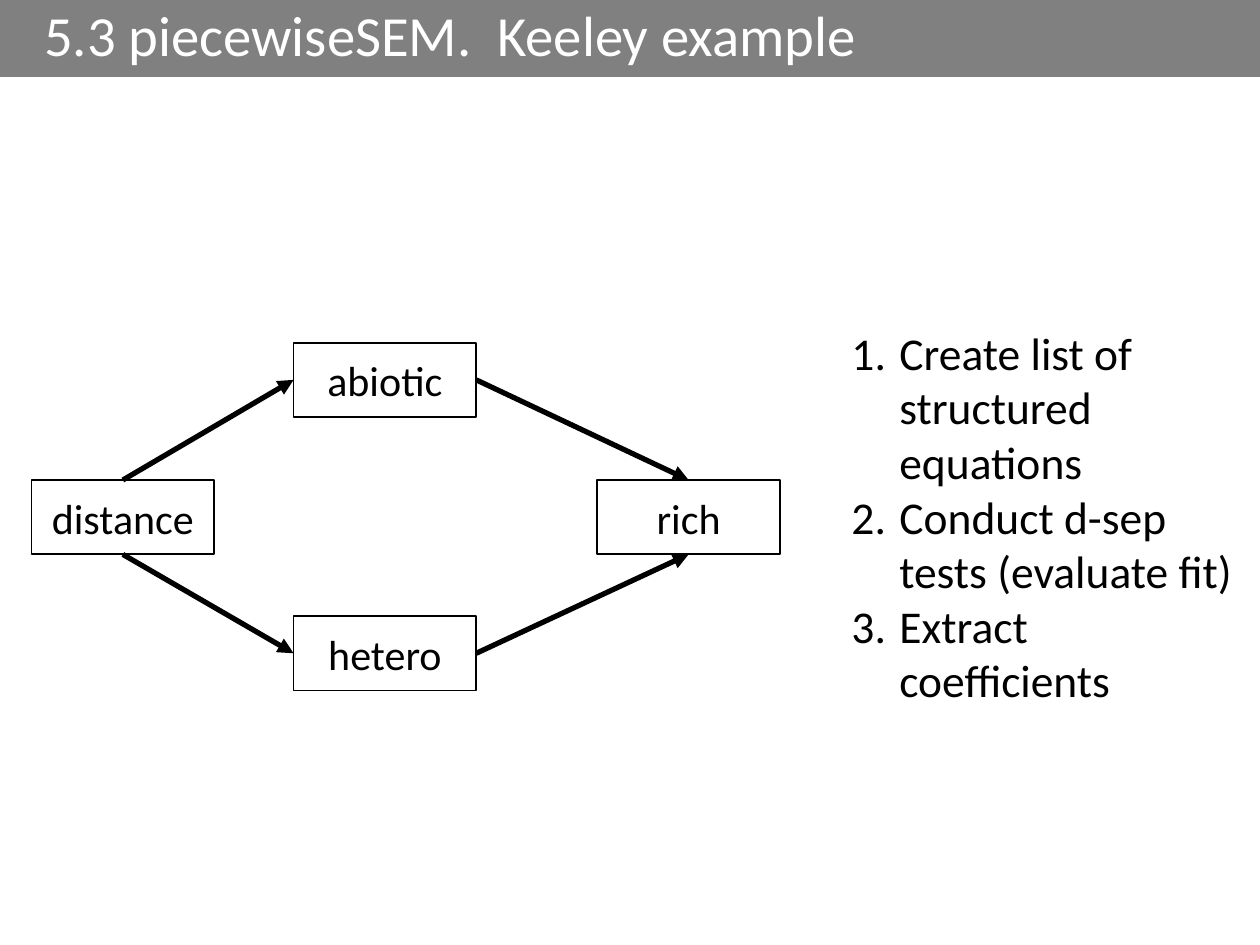
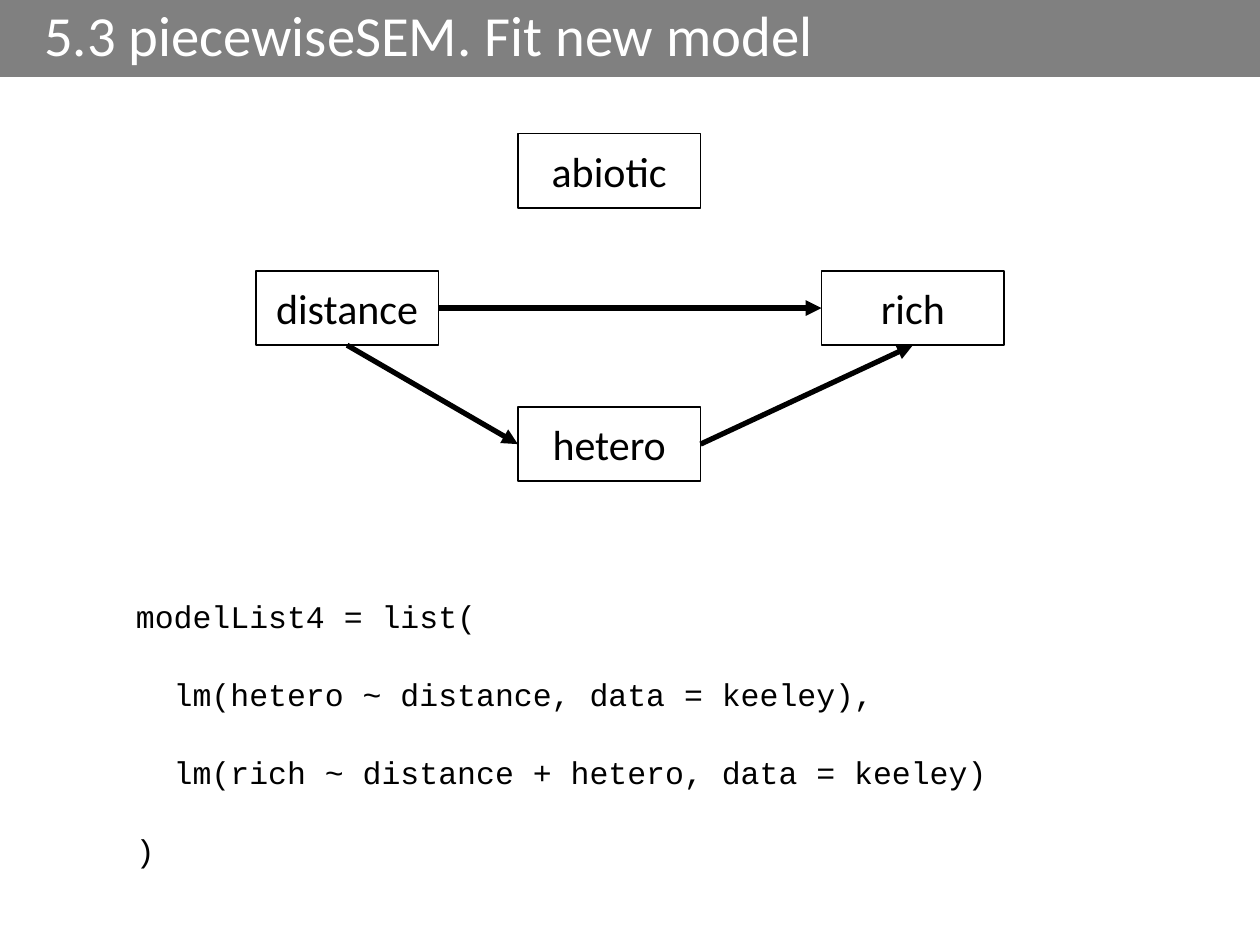
from pptx import Presentation
from pptx import util as u
from pptx.dml.color import RGBColor
from pptx.enum import shapes, text
from pptx.oxml import ns
from lxml import etree

BLACK = RGBColor(0x00, 0x00, 0x00)
WHITE = RGBColor(0xFF, 0xFF, 0xFF)
BAND_GRAY = RGBColor(0x80, 0x80, 0x80)
BODY_FONT = "Calibri"
CODE_FONT = "Courier New"

NODE_WIDTH, NODE_HEIGHT = 1.45, 0.59
NODE_OFFSETS = {
    "distance": (0, 1.09),
    "rich": (4.49, 1.09),
    "hetero": (2.08, 2.17),
    "abiotic": (2.08, 0),
}
TOP, LEFT, BOTTOM, RIGHT = range(4)

VIA_HETERO = [
    ("distance", BOTTOM, "hetero", LEFT),
    ("hetero", RIGHT, "rich", BOTTOM),
]
VIA_ABIOTIC = [
    ("distance", TOP, "abiotic", LEFT),
    ("abiotic", RIGHT, "rich", TOP),
]
DIRECT = [("distance", RIGHT, "rich", LEFT)]

STEPS = [
    "Create list of structured equations",
    "Conduct d-sep tests (evaluate fit)",
    "Extract coefficients",
]
CODE_LINES = [
    "modelList4 = list(",
    "  lm(hetero ~ distance, data = keeley),",
    "  lm(rich ~ distance + hetero, data = keeley)",
    ")",
]


def format_font(paragraph, size, color=BLACK, name=BODY_FONT):
    paragraph.font.name = name
    paragraph.font.size = u.Pt(size)
    paragraph.font.color.rgb = color


def set_indent(paragraph, margin, indent=0):
    properties = paragraph._p.get_or_add_pPr()
    properties.set("marL", str(u.Inches(margin)))
    properties.set("indent", str(u.Inches(indent)))
    return properties


def add_titled_slide(presentation, title_text):
    slide = presentation.slides.add_slide(presentation.slide_layouts[5])
    title = slide.shapes.title
    title.left, title.top = u.Inches(0), u.Inches(0)
    title.width, title.height = presentation.slide_width, u.Inches(0.61)
    title.fill.solid()
    title.fill.fore_color.rgb = BAND_GRAY
    frame = title.text_frame
    frame.text = title_text
    frame.auto_size = text.MSO_AUTO_SIZE.NONE
    frame.vertical_anchor = text.MSO_ANCHOR.MIDDLE
    paragraph = frame.paragraphs[0]
    set_indent(paragraph, 0.25)
    paragraph.alignment = text.PP_ALIGN.LEFT
    paragraph.line_spacing = 0.9
    format_font(paragraph, 32.4, WHITE)
    return slide


def add_node(slide, label, left, top):
    node = slide.shapes.add_shape(
        shapes.MSO_SHAPE.RECTANGLE, u.Inches(left), u.Inches(top),
        u.Inches(NODE_WIDTH), u.Inches(NODE_HEIGHT))
    node.shadow.inherit = False
    node.fill.solid()
    node.fill.fore_color.rgb = WHITE
    node.line.color.rgb = BLACK
    node.line.width = u.Pt(1)
    frame = node.text_frame
    frame.text = label
    frame.vertical_anchor = text.MSO_ANCHOR.MIDDLE
    paragraph = frame.paragraphs[0]
    paragraph.alignment = text.PP_ALIGN.CENTER
    format_font(paragraph, 24)
    return node


def add_arrow(slide, source, source_side, target, target_side):
    arrow = slide.shapes.add_connector(shapes.MSO_CONNECTOR.STRAIGHT, 0, 0, 0, 0)
    arrow.begin_connect(source, source_side)
    arrow.end_connect(target, target_side)
    arrow.line.color.rgb = BLACK
    arrow.line.width = u.Pt(3)
    line = arrow.line._get_or_add_ln()
    etree.SubElement(line, ns.qn("a:tailEnd"), type="triangle")
    etree.SubElement(arrow._element.spPr, ns.qn("a:effectLst"))


def add_path_diagram(slide, left, top, paths):
    nodes = {
        label: add_node(slide, label, left + across, top + down)
        for label, (across, down) in NODE_OFFSETS.items()
    }
    for source, source_side, target, target_side in paths:
        add_arrow(slide, nodes[source], source_side, nodes[target], target_side)


def add_text_box(slide, left, top, width, height, lines):
    box = slide.shapes.add_textbox(
        u.Inches(left), u.Inches(top), u.Inches(width), u.Inches(height))
    box.text_frame.text = "\n".join(lines)
    return box.text_frame


def add_numbered_list(slide, left, top, width, height, items):
    frame = add_text_box(slide, left, top, width, height, items)
    frame.word_wrap = True
    for paragraph in frame.paragraphs:
        properties = set_indent(paragraph, 0.38, -0.38)
        etree.SubElement(properties, ns.qn("a:buFont"), typeface="+mj-lt")
        etree.SubElement(properties, ns.qn("a:buAutoNum"), type="arabicPeriod")
        format_font(paragraph, 26)


def add_code(slide, left, top, width, height, lines):
    frame = add_text_box(slide, left, top, width, height, lines)
    frame.word_wrap = False
    for index, paragraph in enumerate(frame.paragraphs):
        if index:
            paragraph.space_before = u.Pt(23)
        format_font(paragraph, 18, name=CODE_FONT)


def main():
    presentation = Presentation()
    presentation.slide_width = u.Inches(10)
    presentation.slide_height = u.Inches(7.5)

    slide = add_titled_slide(presentation, "5.3 piecewiseSEM.  Keeley example")
    add_path_diagram(slide, 0.25, 2.72, VIA_HETERO + VIA_ABIOTIC)
    add_numbered_list(slide, 6.66, 2.53, 3.34, 3.16, STEPS)

    slide = add_titled_slide(presentation, "5.3 piecewiseSEM. Fit new model")
    add_code(slide, 0.98, 4.69, 6.99, 2.22, CODE_LINES)
    add_path_diagram(slide, 2.03, 1.06, VIA_HETERO + DIRECT)

    presentation.save("out.pptx")


if __name__ == "__main__":
    main()
